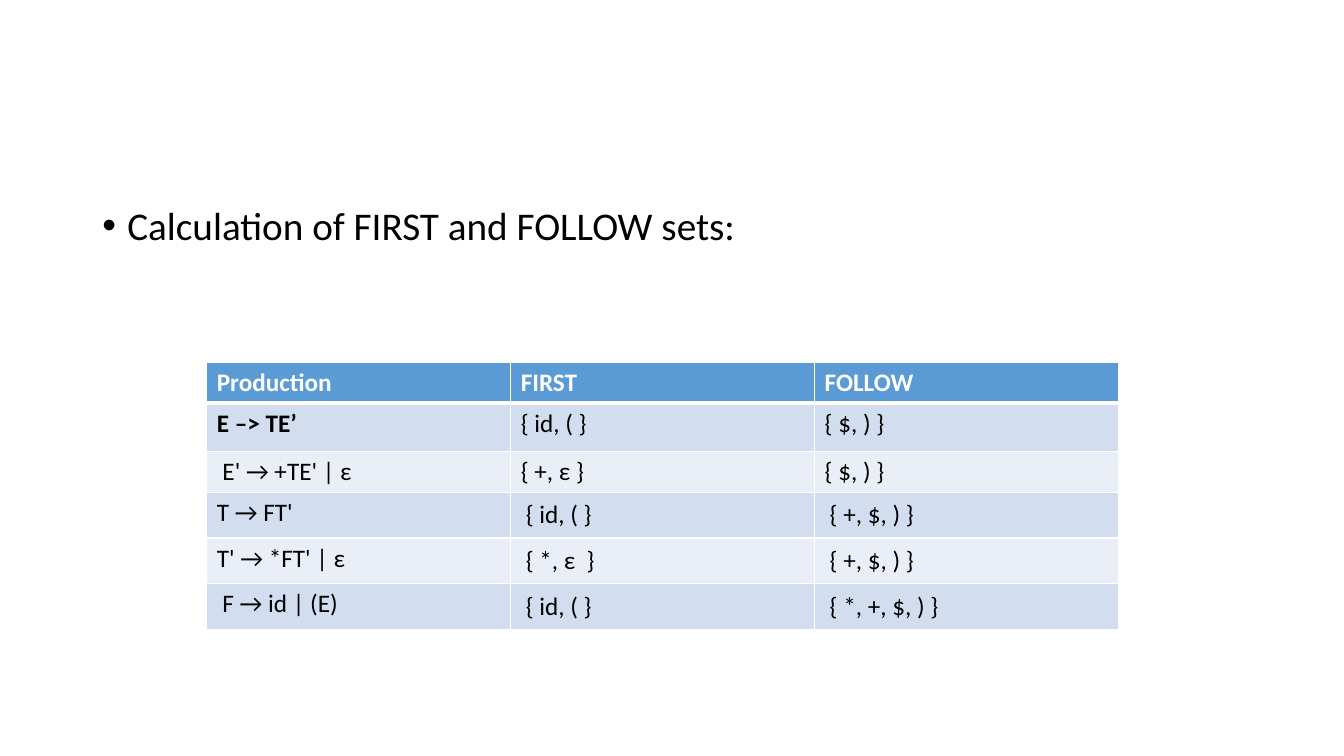
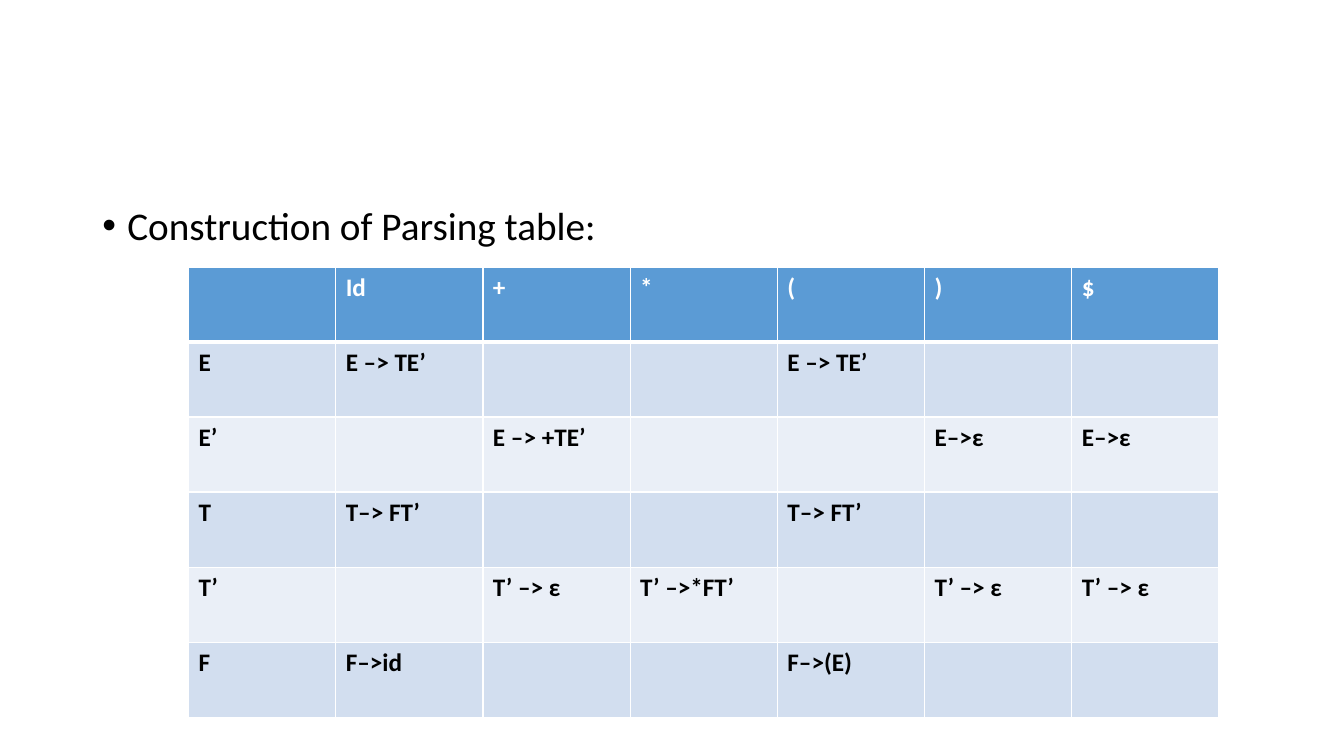
from lxml import etree
from pptx import Presentation
from pptx.dml.color import RGBColor
from pptx.enum.text import MSO_ANCHOR
from pptx.oxml.ns import qn
from pptx.util import Cm, Pt

MIDDLE = MSO_ANCHOR.MIDDLE
FONT = "Calibri"
BLACK = RGBColor(0x00, 0x00, 0x00)
WHITE = RGBColor(0xFF, 0xFF, 0xFF)
HEADER_BLUE = RGBColor(0x5B, 0x9B, 0xD5)
BANDS = [RGBColor(0xD2, 0xDE, 0xEF), RGBColor(0xEA, 0xEF, 0xF7)]


def add_text(para, text, size, color, bold=False):
    span = para.add_run()
    span.text = text
    span.font.name = FONT
    span.font.size = Pt(size)
    span.font.color.rgb = color
    span.font.bold = bold


def set_borders(cell, top, bottom):
    """Draw white cell borders; top and bottom widths are in points."""
    properties = cell._tc.get_or_add_tcPr()
    sides = [("a:lnL", 1), ("a:lnR", 1), ("a:lnT", top), ("a:lnB", bottom)]
    for position, (side, width) in enumerate(sides):
        line = etree.Element(qn(side), w=str(Pt(width)))
        fill = etree.SubElement(line, qn("a:solidFill"))
        etree.SubElement(fill, qn("a:srgbClr"), val=str(WHITE))
        properties.insert(position, line)


# Content of the pages
PAGES = [
    {
        "heading": "Calculation of FIRST and FOLLOW sets:",
        "body_height": 12.09,
        "left": 5.21, "top": 9.14, "column_width": 7.66,
        "row_heights": [1.02, 1.22, 1.03, 1.15, 1.15, 1.15],
        "bold_columns": 1, "bold_rows": 2, "padded_from": 3,
        "rows": [
            ["Production", "FIRST", "FOLLOW"],
            ["E –> TE’", "{ id, ( }", "{ $, ) }"],
            [" E' → +TE' | ε", "{ +, ε }", "{ $, ) }"],
            ["T → FT'", "{ id, ( }", "{ +, $, ) }"],
            ["T' → *FT' | ε", "{ *, ε  }", "{ +, $, ) }"],
            [" F → id | (E)", "{ id, ( }", "{ *, +, $, ) }"],
        ],
    },
    {
        "heading": "Construction of Parsing table:",
        "body_height": 13.41,
        "left": 4.75, "top": 6.73, "column_width": 3.71,
        "row_heights": [1.89] * 6,
        "bold_columns": 7, "bold_rows": 6, "padded_from": 6,
        "rows": [
            ["", "Id", "+", "*", "(", ")", "$"],
            ["E", "E –> TE’", "", "", "E –> TE’", "", ""],
            ["E’", "", "E –> +TE’", "", "", "E–>ε", "E–>ε"],
            ["T", "T–> FT’", "", "", "T–> FT’", "", ""],
            ["T’", "", "T’ –> ε", "T’ –>*FT’", "", "T’ –> ε", "T’ –> ε"],
            ["F", "F–>id", "", "", "F–>(E)", "", ""],
        ],
    },
]

deck = Presentation()
deck.slide_width = Cm(33.87)
deck.slide_height = Cm(19.05)

for content in PAGES:
    page = deck.slides.add_slide(deck.slide_layouts[6])

    # Bulleted heading
    box = page.shapes.add_textbox(Cm(2.33), Cm(5.07), Cm(29.21), Cm(content["body_height"]))
    box.text_frame.word_wrap = True
    para = box.text_frame.paragraphs[0]
    para.line_spacing = 0.9
    para.space_before = Pt(10)
    add_text(para, content["heading"], 28, BLACK)
    properties = para._p.get_or_add_pPr()
    properties.set("marL", str(Cm(0.63)))
    properties.set("indent", str(-Cm(0.63)))
    etree.SubElement(properties, qn("a:buFont"), typeface="Arial")
    etree.SubElement(properties, qn("a:buChar"), char="•")

    # Table
    rows = content["rows"]
    column_count = len(rows[0])
    heights = content["row_heights"]
    table = page.shapes.add_table(
        len(rows), column_count, Cm(content["left"]), Cm(content["top"]),
        Cm(content["column_width"] * column_count), Cm(sum(heights))).table
    for column in table.columns:
        column.width = Cm(content["column_width"])

    for row_index, texts in enumerate(rows):
        table.rows[row_index].height = Cm(heights[row_index])
        is_header = row_index == 0
        for column_index, text in enumerate(texts):
            cell = table.cell(row_index, column_index)
            cell.fill.solid()
            cell.fill.fore_color.rgb = HEADER_BLUE if is_header else BANDS[(row_index - 1) % 2]
            set_borders(cell, top=3 if row_index == 1 else 1, bottom=3 if is_header else 1)
            if column_index > 0 and row_index >= content["padded_from"]:
                cell.vertical_anchor = MIDDLE
                cell.margin_left = cell.margin_right = Cm(0.38)
                cell.margin_top = cell.margin_bottom = Cm(0.18)
            if text:
                bold = is_header or (column_index < content["bold_columns"]
                                     and row_index < content["bold_rows"])
                add_text(cell.text_frame.paragraphs[0], text, 18,
                         WHITE if is_header else BLACK, bold)

deck.save("out.pptx")
